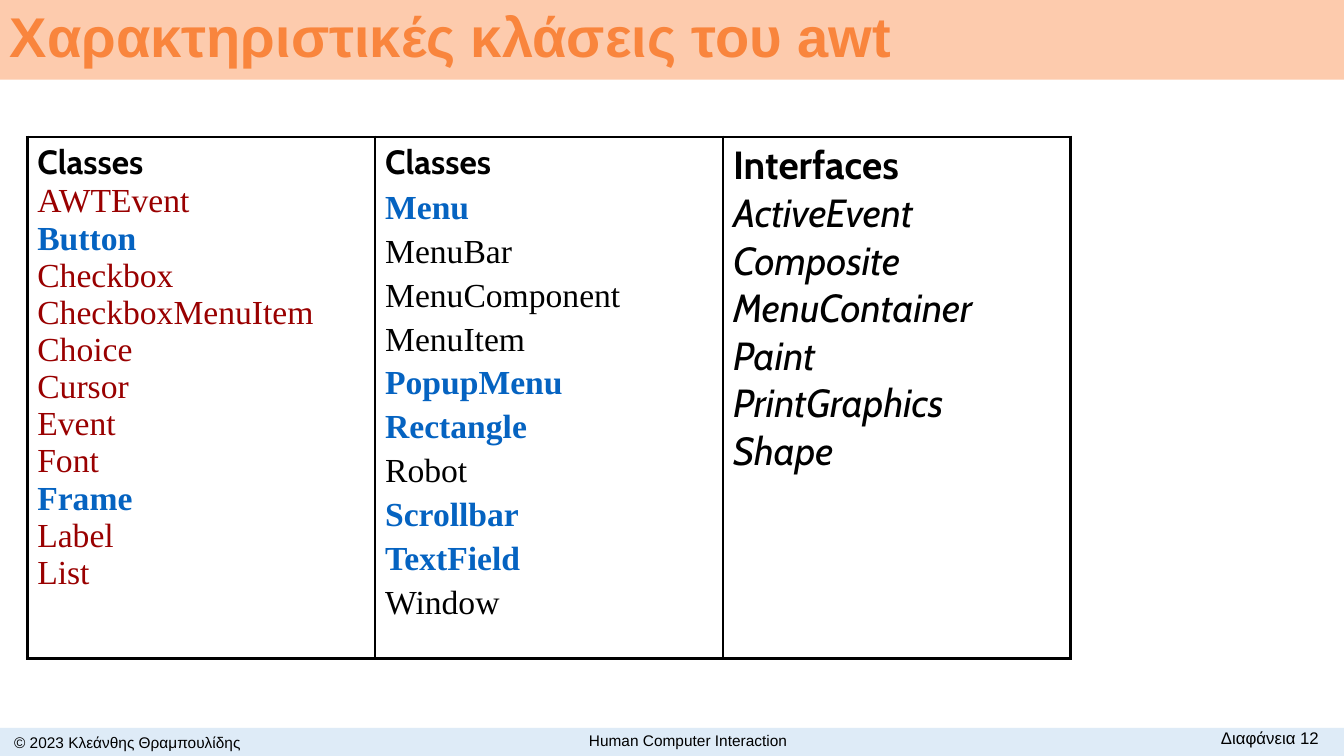
from lxml import etree
from pptx import Presentation
from pptx.dml.color import RGBColor
from pptx.enum import shapes, text
from pptx.oxml import ns
from pptx.util import Inches, Pt

BLACK = RGBColor(0x00, 0x00, 0x00)
DARK_RED = RGBColor(0x99, 0x00, 0x00)
BLUE = RGBColor(0x05, 0x63, 0xC1)
ORANGE = RGBColor(0xF9, 0x85, 0x3D)
PEACH = RGBColor(0xFD, 0xCB, 0xAD)
PALE_BLUE = RGBColor(0xDE, 0xEB, 0xF7)

SLIDE_WIDTH, SLIDE_HEIGHT = 13.33, 7.5
FOOTER_TOP, FOOTER_HEIGHT = 7.22, 0.28
OUTER_LINE, INNER_LINE = 2.25, 1

COMPONENTS = ["AWTEvent", "Button", "Checkbox", "CheckboxMenuItem", "Choice",
              "Cursor", "Event", "Font", "Frame", "Label", "List"]
MORE_COMPONENTS = ["Menu", "MenuBar", "MenuComponent", "MenuItem", "PopupMenu",
                   "Rectangle", "Robot", "Scrollbar", "TextField", "Window"]
INTERFACES = ["ActiveEvent", "Composite", "MenuContainer", "Paint",
              "PrintGraphics", "Shape"]
HIGHLIGHTED = {"Button", "Frame", "Menu", "PopupMenu", "Rectangle",
               "Scrollbar", "TextField"}


def add_run(paragraph, words, size=24, font="Arial", color=BLACK, bold=False,
            italic=False):
    run = paragraph.add_run()
    run.text = words
    run.font.size = Pt(size)
    run.font.name = font
    run.font.color.rgb = color
    run.font.bold = bold
    run.font.italic = italic


def class_format(name, plain_color):
    """Highlighted classes are bold blue, the others plain."""
    marked = name in HIGHLIGHTED
    return dict(font="Times New Roman", bold=marked,
                color=BLUE if marked else plain_color)


class SlideBuilder:
    def __init__(self, presentation):
        self.slide = presentation.slides.add_slide(presentation.slide_layouts[6])

    def bar(self, top, height, color):
        shape = self.slide.shapes.add_shape(
            shapes.MSO_SHAPE.RECTANGLE, Inches(0), Inches(top),
            Inches(SLIDE_WIDTH), Inches(height))
        shape.shadow.inherit = False
        shape.fill.solid()
        shape.fill.fore_color.rgb = color
        shape.line.fill.background()
        return shape

    def label(self, words, left, top, width, height,
              align=text.PP_ALIGN.CENTER, anchor=text.MSO_ANCHOR.MIDDLE,
              line_spacing=None, **run_format):
        box = self.slide.shapes.add_textbox(
            Inches(left), Inches(top), Inches(width), Inches(height))
        frame = box.text_frame
        frame.word_wrap = True
        frame.vertical_anchor = anchor
        paragraph = frame.paragraphs[0]
        paragraph.alignment = align
        paragraph.line_spacing = line_spacing
        add_run(paragraph, words, **run_format)

    def table(self, left, top, column_width, height, columns):
        table = self.slide.shapes.add_table(
            1, columns, Inches(left), Inches(top),
            Inches(column_width * columns), Inches(height)).table
        table.first_row = table.horz_banding = False
        for column in table.columns:
            column.width = Inches(column_width)
        for index in range(columns):
            cell = table.cell(0, index)
            cell.fill.background()
            self.borders(
                cell,
                L=OUTER_LINE if index == 0 else INNER_LINE,
                R=OUTER_LINE if index == columns - 1 else INNER_LINE,
                T=OUTER_LINE, B=OUTER_LINE)
        return table

    def borders(self, cell, **widths):
        properties = cell._tc.get_or_add_tcPr()
        for position, (side, width) in enumerate(widths.items()):
            line = etree.Element(ns.qn(f"a:ln{side}"), w=str(Pt(width)))
            fill = etree.SubElement(line, ns.qn("a:solidFill"))
            etree.SubElement(fill, ns.qn("a:srgbClr"), val=str(BLACK))
            properties.insert(position, line)

    def list_cell(self, cell, items, spaced=False):
        """Write (words, format) items as paragraphs, or as lines of one."""
        frame = cell.text_frame
        paragraph = frame.paragraphs[0]
        for index, (words, run_format) in enumerate(items):
            if index and spaced:
                paragraph = frame.add_paragraph()
                paragraph.space_before = Pt(4.8)
            elif index:
                paragraph.add_line_break()
            add_run(paragraph, words, **run_format)


def main():
    presentation = Presentation()
    presentation.slide_width = Inches(SLIDE_WIDTH)
    presentation.slide_height = Inches(SLIDE_HEIGHT)
    builder = SlideBuilder(presentation)

    builder.bar(FOOTER_TOP, FOOTER_HEIGHT, PALE_BLUE)
    builder.bar(0, 0.79, PEACH)
    builder.label("Χαρακτηριστικές κλάσεις του awt", 0, 0, SLIDE_WIDTH, 0.79,
                  align=text.PP_ALIGN.LEFT, line_spacing=0.9, size=40,
                  color=ORANGE, bold=True)
    builder.label("© 2023 Κλεάνθης Θραμπουλίδης", 0, FOOTER_TOP, 2.53,
                  FOOTER_HEIGHT, size=11)
    builder.label("Διαφάνεια 12", 11.12, 7.17, 2.06, 0.3, size=12,
                  align=text.PP_ALIGN.RIGHT, anchor=text.MSO_ANCHOR.TOP)
    builder.label("Human Computer Interaction", 3.48, 7.2, 6.69, 0.3, size=11)

    table = builder.table(0.27, 1.36, 3.45, 5.17, 3)
    heading = dict(font="Cabin", bold=True)
    builder.list_cell(table.cell(0, 0), [("Classes", heading)] + [
        (name, class_format(name, DARK_RED)) for name in COMPONENTS])
    builder.list_cell(table.cell(0, 1), [("Classes", heading)] + [
        (name, class_format(name, BLACK)) for name in MORE_COMPONENTS],
        spaced=True)
    builder.list_cell(table.cell(0, 2), [("Interfaces", dict(heading, size=28))] + [
        (name, dict(font="Cabin", size=28, italic=True)) for name in INTERFACES])

    presentation.save("out.pptx")


if __name__ == "__main__":
    main()
